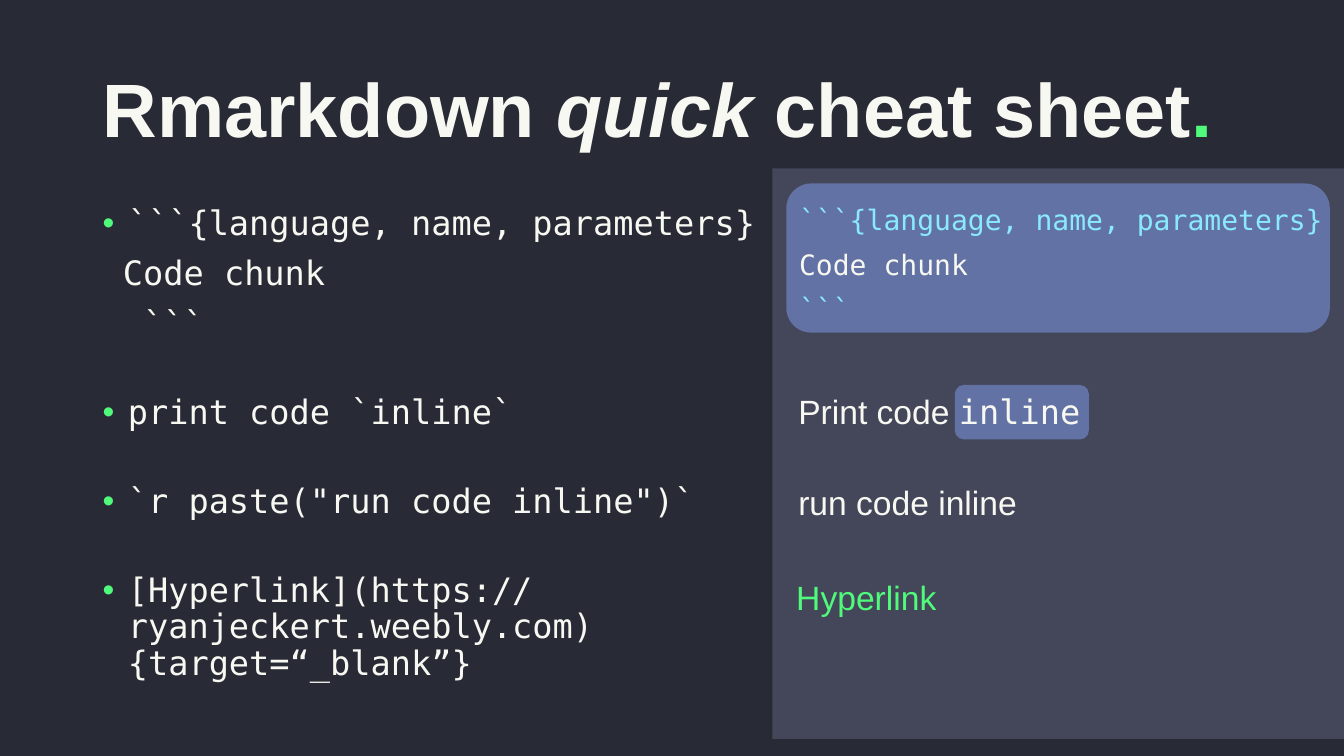
"""Build a slide that sets Rmarkdown source beside its output."""
from lxml import etree
from pptx import Presentation, util as u
from pptx.dml.color import RGBColor
from pptx.enum import shapes, text
from pptx.oxml import ns

WIDE, HIGH = u.Inches(13.33), u.Inches(7.5)
DARK, PANEL, BLUE = "282A36", "44475A", "6272A4"
PALE, GREEN, CYAN = "F8F8F2", "50FA7B", "8BE9FD"
SANS, MONO = "Arial", "DejaVu Sans Mono"
NEAR, FAR = 10, 37.5


def paint(item, tint):
    if hasattr(item, "solid"):
        item.solid()
        item.fore_color.rgb = RGBColor.from_string(tint)
    else:
        item.color.rgb = RGBColor.from_string(tint)


def place(left, top, width, height):
    """Turn percentages of the slide into lengths."""
    return [round(part * side / 100) for part, side in
            zip((left, top, width, height), (WIDE, HIGH, WIDE, HIGH))]


def block(slide, kind, area, tint):
    shape = slide.shapes.add_shape(kind, *place(*area))
    shape.shadow.inherit = False
    paint(shape.fill, tint)
    shape.line.fill.background()


def box(slide, area):
    frame = slide.shapes.add_textbox(*place(*area)).text_frame
    frame.word_wrap = True
    return frame


def style(para, size, face, tint):
    para.font.size = u.Pt(size)
    para.font.name = face
    paint(para.font, tint)


def bullet(para):
    props = para._p.get_or_add_pPr()
    props.set("marL", str(u.Inches(0.25)))
    props.set("indent", str(-u.Inches(0.25)))
    color = etree.SubElement(props, ns.qn("a:buClr"))
    etree.SubElement(color, ns.qn("a:srgbClr"), val=GREEN)
    etree.SubElement(props, ns.qn("a:buFont"), typeface=SANS)
    etree.SubElement(props, ns.qn("a:buChar"), char="•")


def code(slide, area, size, lines):
    """Write code lines given as words, colour, gap above and bullet."""
    frame = box(slide, area)
    for row, (words, tint, gap, mark) in enumerate(lines):
        para = frame.add_paragraph() if row else frame.paragraphs[0]
        if mark:
            bullet(para)
        para.line_spacing = 0.9
        para.space_before = u.Pt(gap)
        para.add_run().text = words
        style(para, size, MONO, tint)


def label(slide, area, words, tint=PALE):
    para = box(slide, area).paragraphs[0]
    para.add_run().text = words
    style(para, 24, SANS, tint)
    return para


def title(slide):
    frame = box(slide, (6.9, 5.33, 86.27, 19.33))
    frame.vertical_anchor = text.MSO_ANCHOR.MIDDLE
    para = frame.paragraphs[0]
    para.line_spacing = 0.9
    para.font.size, para.font.name, para.font.bold = u.Pt(54), SANS, True
    for words, tint, slant in (("Rmarkdown ", PALE, False), ("quick", PALE, True),
                               (" cheat sheet", PALE, False), (".", GREEN, False)):
        run = para.add_run()
        run.text = words
        run.font.italic = slant
        paint(run.font, tint)


def main():
    deck = Presentation()
    deck.slide_width, deck.slide_height = WIDE, HIGH
    slide = deck.slides.add_slide(deck.slide_layouts[6])
    paint(slide.background.fill, DARK)
    rect, pill = shapes.MSO_SHAPE.RECTANGLE, shapes.MSO_SHAPE.ROUNDED_RECTANGLE
    block(slide, rect, (57.46, 22.27, 42.54, 75.47), PANEL)
    block(slide, pill, (71.04, 50.93, 9.98, 7.2), BLUE)
    block(slide, pill, (58.51, 24.27, 40.44, 19.73), BLUE)
    title(slide)
    code(slide, (6.9, 26.67, 50.56, 71.07), 24, (
        ("```{language, name, parameters}", PALE, 0, True),
        (" Code chunk", PALE, NEAR, False),
        ("  ```", PALE, NEAR, False),
        ("print code `inline`", PALE, FAR, True),
        ("`r paste(\"run code inline\")`", PALE, FAR, True),
        ("[Hyperlink](https://ryanjeckert.weebly.com){target=“_blank”}", PALE, FAR, True)))
    code(slide, (57.46, 26.67, 42.54, 19.73), 20, (
        (" ```{language, name, parameters}", CYAN, 0, False),
        (" Code chunk", PALE, NEAR, False),
        (" ```", CYAN, NEAR, False)))
    para = label(slide, (58.66, 51.07, 22.66, 6.67), "Print code ")
    inline = para.add_run()
    inline.text = "inline"
    inline.font.name = MONO
    label(slide, (58.66, 63.07, 18, 6.67), "run code inline")
    label(slide, (58.51, 75.6, 12.08, 6.67), "Hyperlink", GREEN)
    deck.save("out.pptx")


if __name__ == "__main__":
    main()
